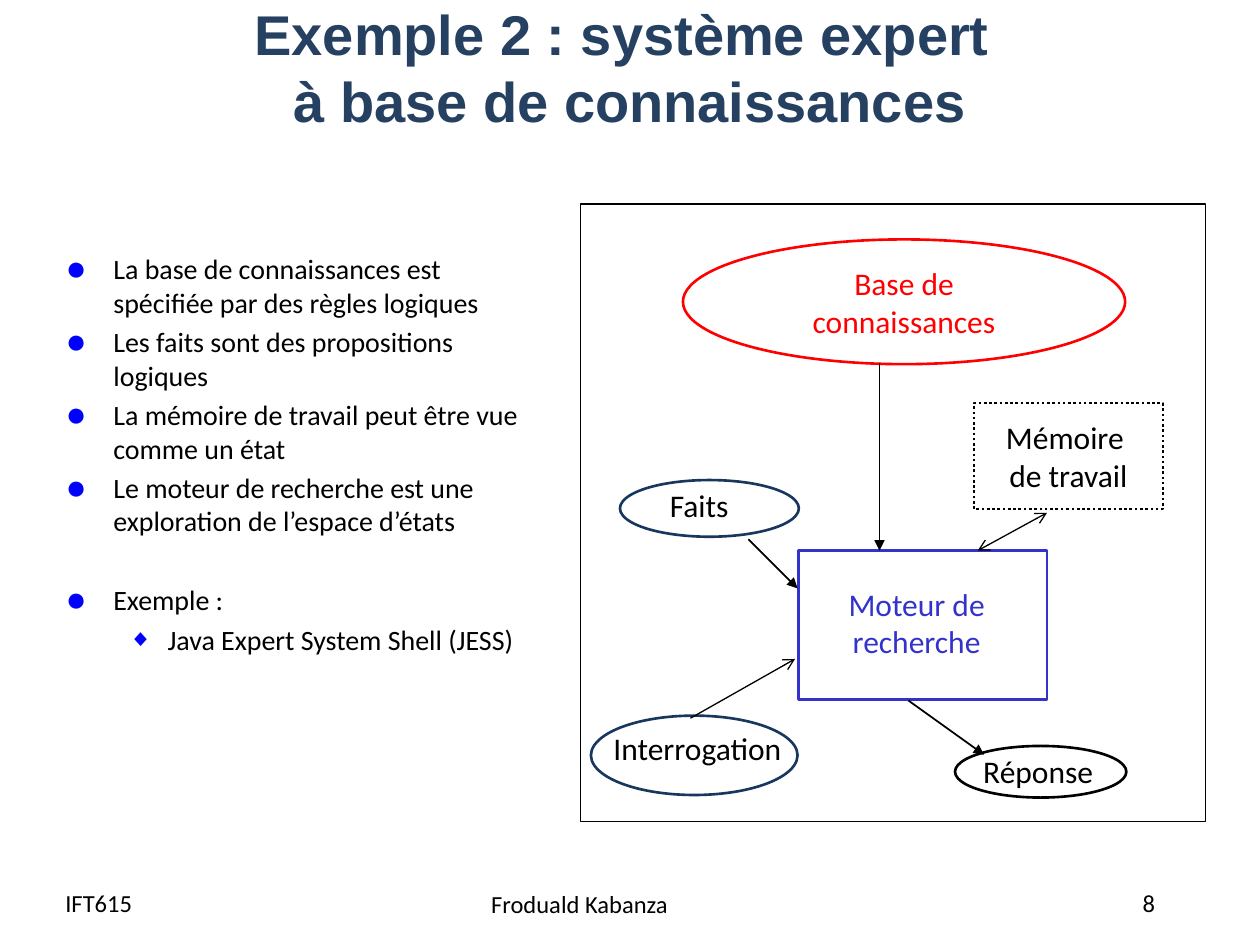
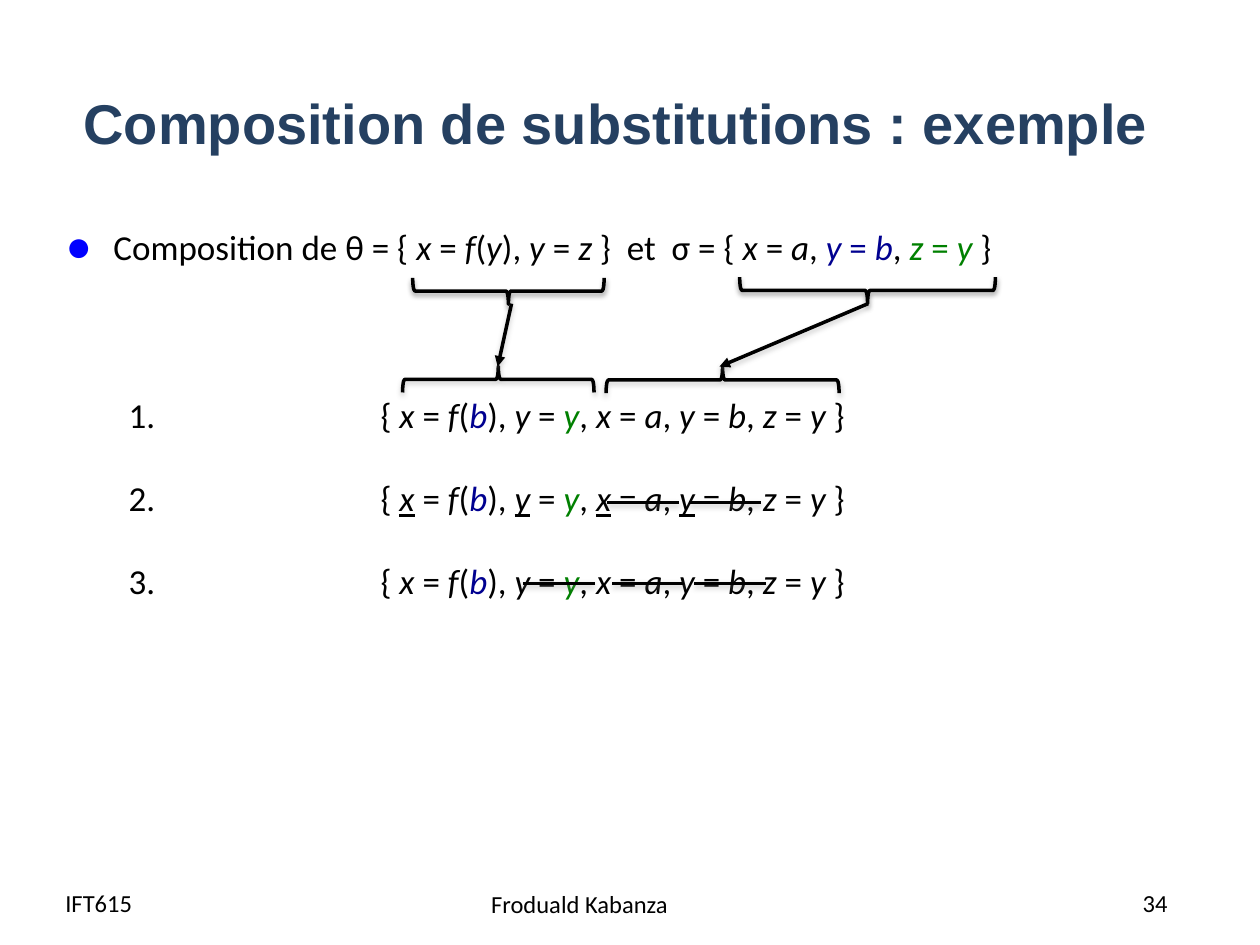
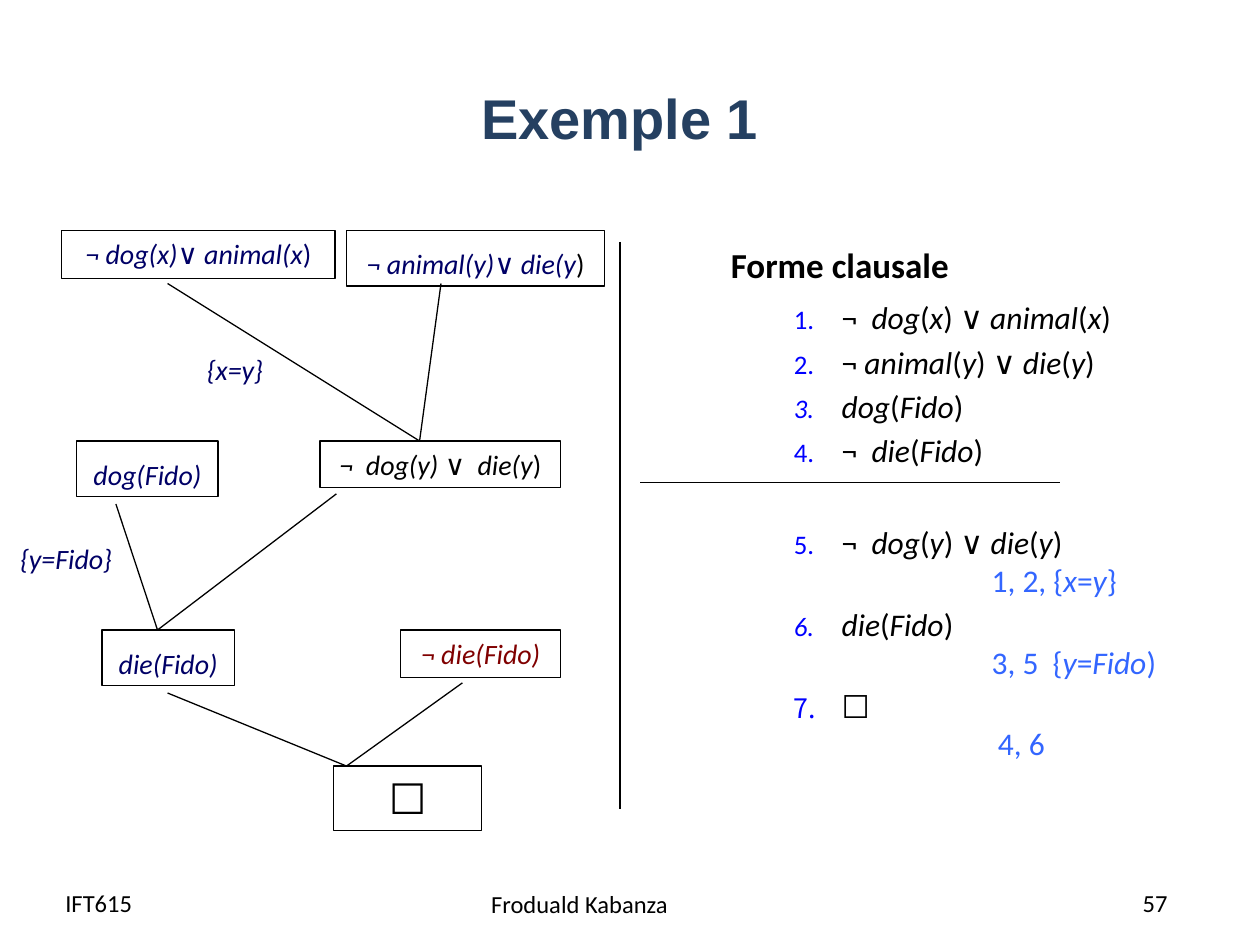
"""Build three course slides: an expert system, substitutions and a resolution proof."""
from dataclasses import dataclass
from typing import Optional

from lxml.etree import SubElement
from pptx import Presentation
from pptx.dml.color import RGBColor
from pptx.enum.shapes import MSO_CONNECTOR, MSO_SHAPE as Preset
from pptx.enum.dml import MSO_LINE
from pptx.enum.text import MSO_ANCHOR as Anchor, MSO_AUTO_SIZE, PP_ALIGN as Align
from pptx.oxml.ns import qn
from pptx.util import Inches, Pt

COLORS = {
    "title": "254061", "black": "000000", "bullet": "0000FF", "red": "FF0000",
    "engine": "3333CC", "outline": "17375E", "bound": "000090", "green": "008000",
    "clause": "000066", "goal": "800000", "note": "3366FF", "grey": "808080",
}
MARKS = {"*": "italic", "_": "underline", "^": "bound", "~": "green", "#": "black"}
BODY_FONT = "Calibri"
SYMBOL_FONT = "Noto Sans CJK JP"


@dataclass(frozen=True)
class Bullet:
    """A bullet character, or automatic numbers when the character is empty."""
    char: str = ""
    percent: int = 85
    color: str = "bullet"


DISC = Bullet("●", 125)
DIAMOND = Bullet("◆")
NUMBER = Bullet()
PLAIN_NUMBER = Bullet(percent=100, color="black")


@dataclass
class Item:
    """One paragraph of a body placeholder."""
    text: str
    bullet: Optional[Bullet] = DISC
    margin: float = 0.38
    hang: float = 0.38
    level: int = 0
    before: float = 0
    after: float = 0
    size: float = 16
    color: str = "black"
    bold: bool = False
    font: str = BODY_FONT


@dataclass
class Box:
    """A shape or bare label with centred lines of text."""
    at: tuple[float, float, float, float]
    text: str = ""
    shape: Optional[Preset] = Preset.RECTANGLE
    line: str = "black"
    width: float = 0.75
    color: str = "black"
    size: float = 16
    font: str = BODY_FONT
    anchor: Anchor = Anchor.TOP
    wrap: bool = False
    spacing: float = 1
    dotted: bool = False
    rotation: float = 0
    shadow: str = ""


@dataclass
class Link:
    """A straight line with optional arrowheads."""
    start: tuple[float, float]
    end: tuple[float, float]
    width: float = 0.75
    head: str = ""
    tail: str = ""
    shadow: str = ""


def rgb(name: str) -> RGBColor:
    """Look up a named colour."""
    return RGBColor.from_string(COLORS[name])


def write(para, text: str) -> None:
    """Add spans to a paragraph, where marks toggle italic, underline or a colour."""
    active, pending = set(), ""
    for char in text + "\0":
        if char not in MARKS and char not in "\n\0":
            pending += char
            continue
        if pending:
            span = para.add_run()
            span.text = pending
            for style in active:
                if style in COLORS:
                    span.font.color.rgb = rgb(style)
                else:
                    setattr(span.font, style, True)
            pending = ""
        if char == "\n":
            para.add_line_break()
        elif char in MARKS:
            active ^= {MARKS[char]}


def style_font(para, size: float, color: str, font: str = BODY_FONT, bold: bool = False) -> None:
    """Set the font shared by all spans of a paragraph."""
    para.font.size = Pt(size)
    para.font.name = font
    para.font.bold = bold
    para.font.color.rgb = rgb(color)


def set_bullet(para, bullet: Optional[Bullet]) -> None:
    """Give a paragraph its bullet, number or neither."""
    props = para._p.get_or_add_pPr()
    if bullet is None:
        SubElement(props, qn("a:buNone"))
        return
    color = SubElement(props, qn("a:buClr"))
    SubElement(color, qn("a:srgbClr"), val=COLORS[bullet.color])
    SubElement(props, qn("a:buSzPct"), val=str(bullet.percent * 1000))
    SubElement(props, qn("a:buFont"), typeface="Arial" if bullet.char else BODY_FONT)
    if bullet.char:
        SubElement(props, qn("a:buChar"), char=bullet.char)
    else:
        SubElement(props, qn("a:buAutoNum"), type="arabicPeriod")


def set_effect(shape, shadow: str) -> None:
    """Replace the theme effect by a soft shadow, or by none."""
    effects = SubElement(shape._element.spPr, qn("a:effectLst"))
    if shadow:
        outer = SubElement(effects, qn("a:outerShdw"), blurRad=str(Pt(3.1)), dist=str(Pt(1.6)),
                           dir="5400000", rotWithShape="0")
        color = SubElement(outer, qn("a:srgbClr"), val=COLORS[shadow])
        SubElement(color, qn("a:alpha"), val="38000")


def place(shape, at: tuple[float, float, float, float]) -> None:
    """Move and size a shape."""
    shape.left, shape.top, shape.width, shape.height = map(Inches, at)


def draw_box(page, box: Box) -> None:
    """Draw a shape or a bare label."""
    bounds = tuple(map(Inches, box.at))
    if box.shape is None:
        shape = page.shapes.add_textbox(*bounds)
    else:
        shape = page.shapes.add_shape(box.shape, *bounds)
        shape.rotation = box.rotation
        shape.fill.background()
        shape.line.color.rgb = rgb(box.line)
        shape.line.width = Pt(box.width)
        if box.dotted:
            shape.line.dash_style = MSO_LINE.ROUND_DOT
        set_effect(shape, box.shadow)
    if not box.text:
        return
    frame = shape.text_frame
    frame.word_wrap = box.wrap
    frame.auto_size = MSO_AUTO_SIZE.NONE
    frame.vertical_anchor = box.anchor
    for index, text in enumerate(box.text.split("\n")):
        para = frame.add_paragraph() if index else frame.paragraphs[0]
        para.alignment = Align.CENTER
        para.line_spacing = box.spacing
        style_font(para, box.size, box.color, box.font)
        write(para, text)


def draw_link(page, link: Link) -> None:
    """Draw a line with its arrowheads."""
    ends = map(Inches, link.start + link.end)
    shape = page.shapes.add_connector(MSO_CONNECTOR.STRAIGHT, *ends)
    shape.line.color.rgb = rgb("black")
    shape.line.width = Pt(link.width)
    outline = shape._element.spPr.find(qn("a:ln"))
    for tag, kind in (("a:headEnd", link.head), ("a:tailEnd", link.tail)):
        if kind:
            SubElement(outline, qn(tag), type=kind)
    set_effect(shape, link.shadow)


def fill_body(page, at: tuple[float, float, float, float], items: list[Item]) -> None:
    """Move the body placeholder and write its paragraphs."""
    body = page.placeholders[1]
    place(body, at)
    frame = body.text_frame
    frame.auto_size = MSO_AUTO_SIZE.NONE
    for index, item in enumerate(items):
        para = frame.add_paragraph() if index else frame.paragraphs[0]
        para.level = item.level
        props = para._p.get_or_add_pPr()
        props.set("marL", str(Inches(item.margin)))
        props.set("indent", str(Inches(-item.hang)))
        set_bullet(para, item.bullet)
        para.space_before = Pt(item.before)
        para.space_after = Pt(item.after)
        style_font(para, item.size, item.color, item.font, item.bold)
        write(para, item.text)


def add_page(deck, title: str, left: float, top: float, number: int):
    """Add a slide with its title and footer."""
    page = deck.slides.add_slide(deck.slide_layouts[1])
    place(page.shapes.title, (left, top, 9, 0.66))
    frame = page.shapes.title.text_frame
    frame.auto_size = MSO_AUTO_SIZE.NONE
    frame.vertical_anchor = Anchor.MIDDLE
    para = frame.paragraphs[0]
    para.alignment = Align.CENTER
    style_font(para, 32, "title", "Arial", True)
    write(para, title)
    footers = (("IFT615", (0.42, 7, 0.75, 0.26)),
               ("Froduald Kabanza", (3.8, 7.01, 2.54, 0.29)),
               (str(number), (8.97, 7, 0.53, 0.3)))
    for text, at in footers:
        footer = page.shapes.add_textbox(*map(Inches, at))
        footer.text_frame.word_wrap = True
        para = footer.text_frame.paragraphs[0]
        style_font(para, 14, "black")
        write(para, text)
    return page


def draw_all(page, boxes: list[Box], links: list[Link]) -> None:
    """Draw the boxes and then the links of a diagram."""
    for box in boxes:
        draw_box(page, box)
    for link in links:
        draw_link(page, link)


def add_expert_system(deck) -> None:
    """Add the slide on the knowledge-based expert system."""
    page = add_page(deck, "Exemple 2 : système expert \nà base de connaissances", 0.5, 0.2, 8)
    facts = ("La base de connaissances est spécifiée par des règles logiques",
             "Les faits sont des propositions logiques",
             "La mémoire de travail peut être vue comme un état",
             "Le moteur de recherche est une exploration de l’espace d’états")
    items = [Item(text, before=3.2 if index else 0) for index, text in enumerate(facts)]
    items += [Item("Exemple :", before=26),
              Item("Java Expert System Shell (JESS)", DIAMOND, 0.81, 0.31, 1, 3.2)]
    fill_body(page, (0.42, 1.95, 3.91, 4.01), items)

    def label(at, text, **extra) -> Box:
        """Describe a bare label of the diagram."""
        return Box(at, text, None, size=18, **extra)

    middle = Anchor.MIDDLE
    boxes = [
        Box((4.61, 1.62, 4.96, 4.9)),
        Box((5.42, 1.9, 3.51, 0.99), "Base de connaissances", Preset.OVAL, "red", 1.5, "red", 18,
            wrap=True),
        Box((7.73, 3.2, 1.5, 0.84), "Mémoire \nde travail", width=1.5, size=18, anchor=middle,
            dotted=True),
        Box((6.34, 4.37, 1.97, 1.18), line="engine", width=1.5),
        label((6.33, 4.59, 1.89, 0.71), "Moteur de recherche", color="engine", wrap=True),
        Box((7.58, 5.92, 1.36, 0.41), shape=Preset.OVAL, width=1.5),
        label((7.73, 5.92, 1.02, 0.39), "Réponse", anchor=middle),
        Box((4.69, 5.68, 1.64, 0.63), shape=Preset.OVAL, line="outline", width=1.5),
        label((5.16, 5.62, 0.75, 0.63), "Interrogation", anchor=middle),
        Box((4.92, 3.81, 1.42, 0.45), shape=Preset.OVAL, line="outline", width=1.5),
        label((5, 3.81, 1.1, 0.39), "Faits", anchor=middle),
    ]
    links = [
        Link((6.98, 2.88), (6.98, 4.37), 1, tail="triangle"),
        Link((7.21, 5.56), (7.81, 5.99), 1, tail="triangle"),
        Link((5.94, 4.28), (6.33, 4.67), 1, tail="triangle"),
        Link((7.76, 4.37), (8.31, 4.07), head="arrow", tail="arrow"),
        Link((5.48, 5.7), (6.31, 5.23), tail="arrow"),
    ]
    draw_all(page, boxes, links)


def add_composition(deck) -> None:
    """Add the slide on composing substitutions."""
    page = add_page(deck, "Composition de substitutions : exemple", 0.39, 0.64, 34)
    composed = "{ *x* = *f*(^*b*^), *y* = ~*y*~, *x* = *a*, *y* = *b*, *z* = *y* }"
    underlined = ("{ *_x_* = *f*(^*b*^), *_y_* = ~*y*~, *_x_* = *a*, *_y_* = *b*, "
                  "*z* = *y* }")
    items = [Item("Composition de θ = { *x* = *f*(*y*), *y* = *z* }  et  σ = { *x* = *a*, "
                  "^*y* = *b*^, ~*z* = *y* ~}", size=20)]
    for text, before in ((composed, 72), (underlined, 23.5), (composed, 23.5)):
        items.append(Item(text, PLAIN_NUMBER, 2.5, 2, 1, before, size=20))
    fill_body(page, (0.42, 1.74, 9, 3.49), items)

    braces = (((3.85, 2.25, 0.21, 1.52), 270, "grey"), ((5.63, 2.09, 0.21, 1.85), 270, "grey"),
              ((3.93, 1.55, 0.21, 1.52), 90, "black"), ((6.78, 1.29, 0.21, 2.03), 90, "black"))
    boxes = [Box(at, shape=Preset.RIGHT_BRACE, width=2, rotation=turn, shadow=shade)
             for at, turn, shade in braces]
    links = [Link((start, 2.41), (end, 2.91), 2, tail="triangle", shadow="grey")
             for start, end in ((4.06, 3.95), (6.89, 5.71))]
    strikes = {3.99: (4.82, 5.47), 4.63: (4.15, 4.86, 5.51)}
    links += [Link((left, y), (left + 0.57, y), 2, shadow="grey")
              for y, lefts in strikes.items() for left in lefts]
    draw_all(page, boxes, links)


def add_resolution(deck) -> None:
    """Add the slide on the resolution proof."""
    page = add_page(deck, "Exemple 1", 0.42, 0.6, 57)

    def clause(text: str, before: float = 3.6, font: str = BODY_FONT) -> Item:
        """Describe a numbered clause."""
        return Item(text, NUMBER, 0.88, 0.38, 1, before, size=18, font=font)

    def reason(text: str, margin: float = 2.07) -> Item:
        """Describe the parents and substitution of a derived clause."""
        return Item(text, None, margin, 0, 2, size=18, color="note")

    fill_body(page, (5.7, 1.88, 4.14, 5.25), [
        Item("Forme clausale", None, 0, 0, after=4, size=20, bold=True),
        clause("¬  *dog*(*x*) ∨ *animal*(*x*)"),
        clause("¬ *animal*(*y*) ∨ *die*(*y*)"),
        clause("*dog*(*Fido*)"),
        clause("¬  *die*(*Fido*)"),
        clause("¬  *dog*(*y*) ∨ *die*(*y*)", 31),
        reason("1, 2, {*x*=*y*}"),
        clause("*die*(*Fido*)"),
        reason("3, 5  {*y*=*Fido*)"),
        clause("☐", font=SYMBOL_FONT),
        reason("4, 6", 2.12),
    ])

    def fact(at, text: str, shape: Optional[Preset] = Preset.RECTANGLE) -> Box:
        """Describe a clause or substitution with wide line spacing."""
        return Box(at, text, shape, color="clause", spacing=1.3)

    boxes = [
        fact((2.75, 1.83, 2.05, 0.44), "*¬ animal(y)∨ die(y*#)#"),
        Box((2.54, 3.5, 1.91, 0.37), "*¬  dog(y) ∨  die(y*)"),
        Box((0.49, 1.83, 2.17, 0.38), "*¬ dog(x)∨ animal(x*)", color="clause"),
        fact((0.61, 3.5, 1.12, 0.44), "*dog(Fido)*"),
        fact((0.81, 5, 1.05, 0.44), "*die(Fido)*"),
        Box((3.18, 5, 1.27, 0.38), "*¬ die(Fido)*", color="goal"),
        Box((2.65, 6.08, 1.17, 0.51), "☐", size=24, font=SYMBOL_FONT),
        fact((1.5, 2.67, 0.73, 0.45), "*{x=y}*", None),
        fact((0.03, 4.17, 0.99, 0.44), "*{y=Fido}*", None),
    ]
    parents = {(3.33, 3.5): ((1.33, 2.25), (3.5, 2.25)),
               (1.25, 5): ((0.92, 4), (2.67, 3.92)),
               (2.75, 6.08): ((1.33, 5.5), (3.67, 5.42))}
    links = [Link(start, end) for end, starts in parents.items() for start in starts]
    links += [Link((4.92, 1.92), (4.92, 6.42)), Link((5.08, 3.83), (8.41, 3.83))]
    draw_all(page, boxes, links)


def main() -> None:
    """Build and save the deck."""
    deck = Presentation()
    deck.slide_width, deck.slide_height = Inches(10), Inches(7.5)
    add_expert_system(deck)
    add_composition(deck)
    add_resolution(deck)
    deck.save("out.pptx")


if __name__ == "__main__":
    main()
